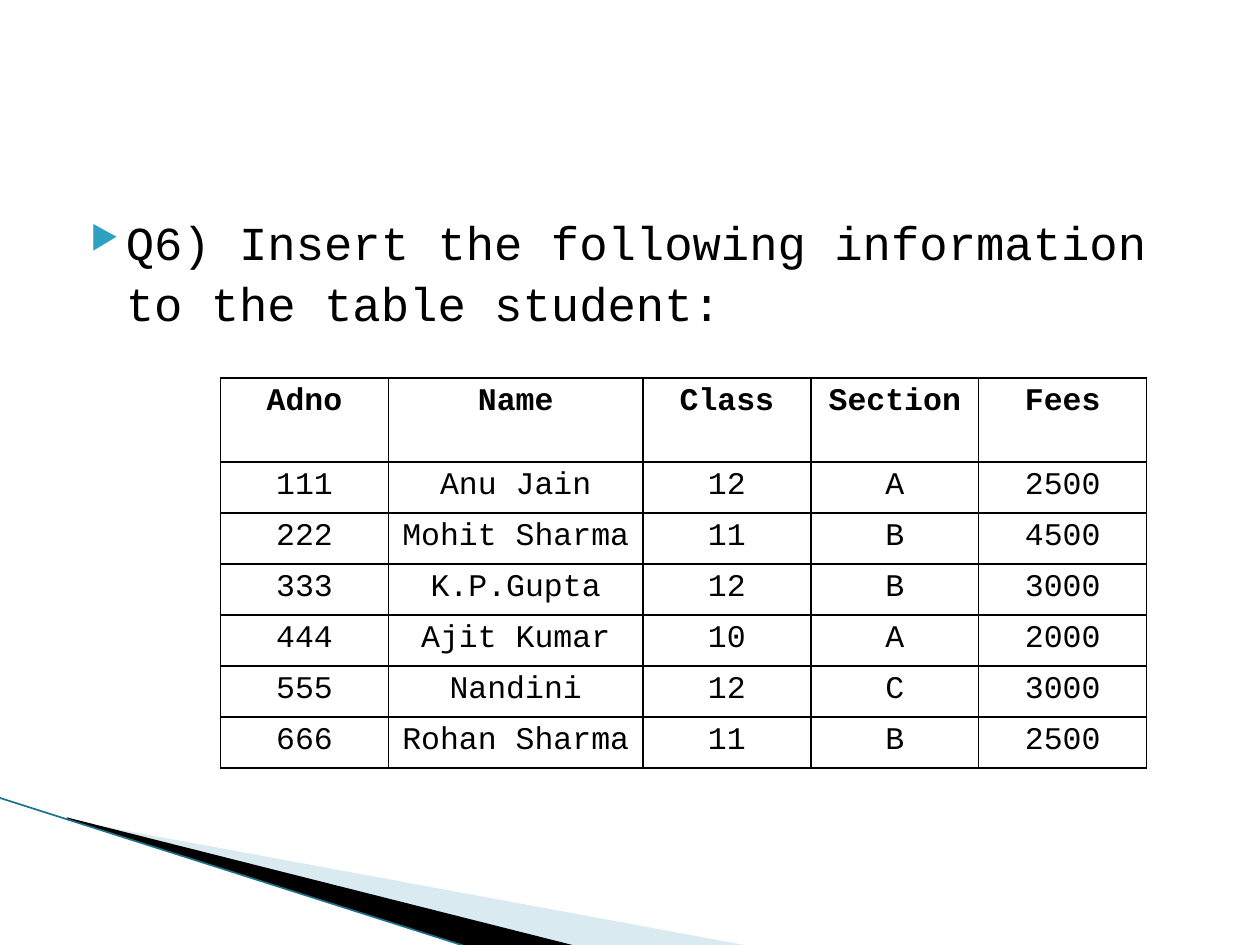
import pptx
import pptx.dml.color
import pptx.enum.shapes
import pptx.enum.text
import pptx.oxml
import pptx.oxml.ns
import pptx.util
import lxml.etree

RGB = pptx.dml.color.RGBColor
BLACK = RGB(0, 0, 0)
PALE = RGB(0xA0, 0xCB, 0xDC)
TEAL = RGB(0x1C, 0x72, 0x88)
FONT = "Courier New"
WIDE = pptx.util.Inches(10)
HIGH = pptx.util.Inches(7.5)
qn = pptx.oxml.ns.qn


def x(share):
    """Percent of the slide width as a length."""
    return pptx.util.Emu(round(WIDE * share / 100))


def y(share):
    """Percent of the slide height as a length."""
    return pptx.util.Emu(round(HIGH * share / 100))


deck = pptx.Presentation()
deck.slide_width, deck.slide_height = WIDE, HIGH
slide = deck.slides.add_slide(deck.slide_layouts[6])
shapes = slide.shapes

# Corner wedges
wedges = [
    (PALE, 40, [(5.5, 86.8), (59.5, 100.1), (45.6, 100.1), (5.5, 86.7)]),
    (BLACK, 100, [(5.3, 86.5), (45.7, 100.1), (37.2, 100.2), (5.4, 86.7)]),
]
for color, alpha, points in wedges:
    points = [(x(a), y(b)) for a, b in points]
    path = shapes.build_freeform(*points[0], scale=1.0)
    path.add_line_segments(points[1:], close=True)
    wedge = path.convert_to_shape()
    wedge.shadow.inherit = False
    wedge.line.fill.background()
    wedge.fill.solid()
    wedge.fill.fore_color.rgb = color
    if alpha < 100:
        tint = wedge.fill._xPr.find(".//" + qn("a:srgbClr"))
        lxml.etree.SubElement(tint, qn("a:alpha"), val=str(alpha * 1000))

edge = shapes.add_connector(
    pptx.enum.shapes.MSO_CONNECTOR.STRAIGHT, x(-0.1), y(84.4), x(37.1), y(100.2)
)
edge.line.color.rgb = TEAL
edge.line.width = pptx.util.Pt(0.95)
lxml.etree.SubElement(edge._element.spPr, qn("a:effectLst"))

# Question
box = shapes.add_textbox(x(5), y(21.6), x(90), y(66))
box.text_frame.word_wrap = True
para = box.text_frame.paragraphs[0]
para.text = "Q6) Insert the following information to the table student:"
para.space_before = pptx.util.Pt(4)
para.line_spacing = 1.06
font = para.runs[0].font
font.name, font.size = FONT, pptx.util.Pt(27)
font.color.rgb = BLACK
props = para._p.get_or_add_pPr()
props.set("marL", str(x(4)))
props.set("indent", str(x(-2.8)))
tint = lxml.etree.SubElement(props, qn("a:buClr"))
lxml.etree.SubElement(tint, qn("a:srgbClr"), val="2DA2BF")
lxml.etree.SubElement(props, qn("a:buSzPct"), val="68000")
lxml.etree.SubElement(props, qn("a:buChar"), char="▶")

# Student table
rows = [
    ("Adno", "Name", "Class", "Section", "Fees"),
    ("111", "Anu Jain", "12", "A", "2500"),
    ("222", "Mohit Sharma", "11", "B", "4500"),
    ("333", "K.P.Gupta", "12", "B", "3000"),
    ("444", "Ajit Kumar", "10", "A", "2000"),
    ("555", "Nandini", "12", "C", "3000"),
    ("666", "Rohan Sharma", "11", "B", "2500"),
]
grid = shapes.add_table(len(rows), 5, x(17.5), y(40), x(73.5), y(41.3)).table
for c, col in enumerate(grid.columns):
    col.width = x(20.2 if c == 1 else 13.33)
for r, row in enumerate(rows):
    grid.rows[r].height = y(5.4 if r else 8.9)
    for c, text in enumerate(row):
        cell = grid.cell(r, c)
        cell.text_frame.text = text
        para = cell.text_frame.paragraphs[0]
        para.alignment = pptx.enum.text.PP_ALIGN.CENTER
        font = para.runs[0].font
        font.name, font.size = FONT, pptx.util.Pt(18)
        font.bold = r == 0
        font.color.rgb = BLACK
        props = cell._tc.get_or_add_tcPr()
        for side in ("a:lnL", "a:lnR", "a:lnT", "a:lnB"):
            rule = lxml.etree.SubElement(props, qn(side), w=str(pptx.util.Pt(1)))
            fill = lxml.etree.SubElement(rule, qn("a:solidFill"))
            lxml.etree.SubElement(fill, qn("a:srgbClr"), val=str(BLACK))
        cell.fill.background()

deck.save("out.pptx")
